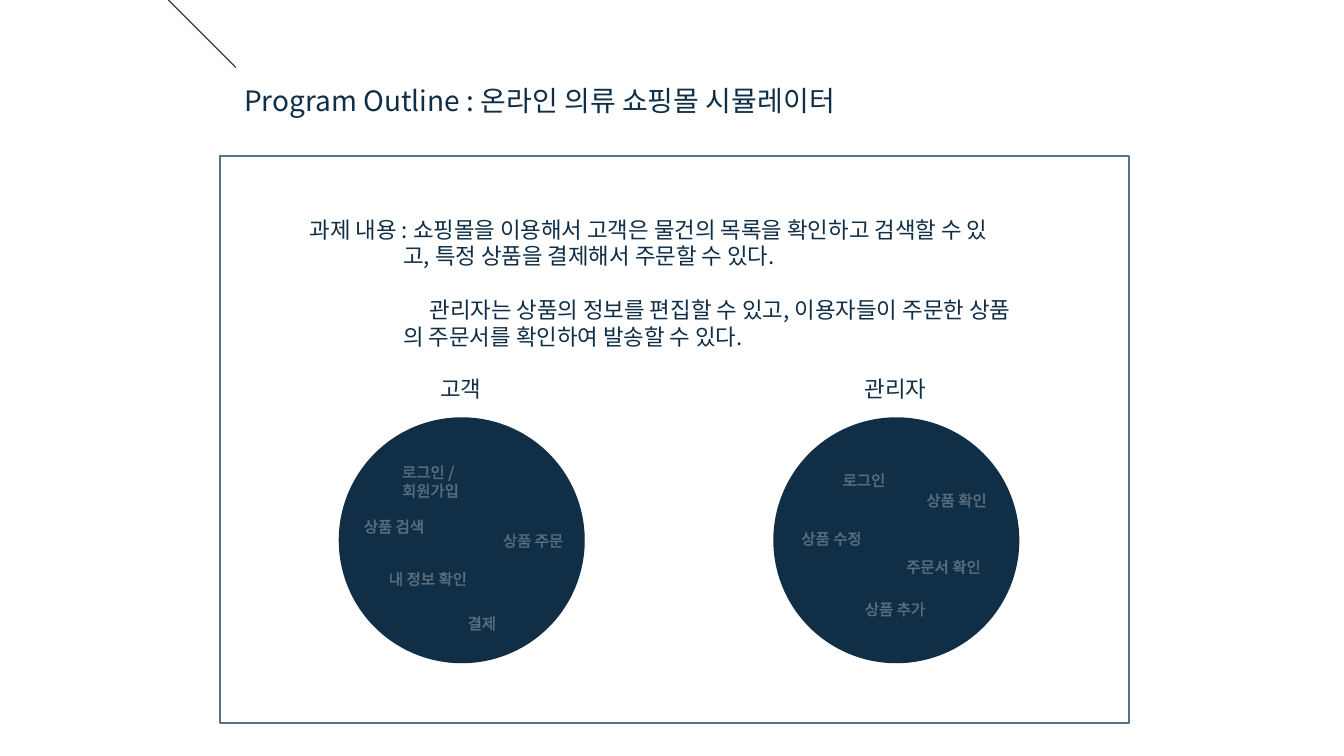
from lxml.etree import SubElement
from pptx import Presentation
from pptx.dml.color import RGBColor
from pptx.enum.shapes import MSO_CONNECTOR as LINE, MSO_SHAPE as SHAPE
from pptx.enum.text import MSO_ANCHOR as ANCHOR, MSO_AUTO_SIZE as AUTO, PP_ALIGN as ALIGN
from pptx.oxml.ns import qn
from pptx.util import Inches, Pt

NAVY = RGBColor(0x10, 0x2E, 0x46)
SLATE = RGBColor(0x53, 0x72, 0x85)
WHITE = RGBColor(0xFF, 0xFF, 0xFF)
FONT = "Noto Sans CJK KR"
DIAMETER = 2.44

# Text, left indent, first-line offset, space before in points
DESCRIPTION = [
    ("과제 내용 : 쇼핑몰을 이용해서 고객은 물건의 목록을 확인하고 검색할 수 있", 0, 0, 0),
    ("고, 특정 상품을 결제해서 주문할 수 있다.", 0.93, 0, 0),
    ("관리자는 상품의 정보를 편집할 수 있고, 이용자들이 주문한 상품", 0.93, 0.26, 19.2),
    ("의 주문서를 확인하여 발송할 수 있다.", 0.93, 0, 0),
]

# Role, circle left, role box, functions with their boxes (left, top, width)
ROLES = [
    ("관리자", 7.67, (8.48, 3.67, 0.82), [
        ("로그인", 8.26, 4.62, 0.63),
        ("상품 확인", 9.09, 4.82, 0.84),
        ("상품 수정", 7.85, 5.2, 0.82),
        ("주문서 확인", 8.89, 5.48, 0.97),
        ("상품 추가", 8.48, 5.9, 0.82),
    ]),
    ("고객", 3.36, (4.27, 3.67, 0.62), [
        ("상품 검색", 3.51, 5.08, 0.84),
        ("상품 주문", 4.89, 5.22, 0.82),
        ("내 정보 확인", 3.76, 5.6, 1.03),
        ("결제", 4.54, 6.04, 0.5),
    ]),
]


def add_run(paragraph, text, size, color):
    """Add a run with a soft, mostly transparent outline."""
    run = paragraph.add_run()
    run.text = text
    font = run.font
    font.size, font.name = Pt(size), FONT
    font.color.rgb = color
    props = font._element
    outline = SubElement(props, qn("a:ln"), w=str(Pt(0.75)))
    tint = SubElement(SubElement(outline, qn("a:solidFill")), qn("a:srgbClr"), val=str(color))
    SubElement(tint, qn("a:alpha"), val="30000")
    props.insert(0, outline)
    props.find(qn("a:latin")).addnext(props.makeelement(qn("a:ea"), {"typeface": FONT}))


def place(shape, left, top, width, height):
    shape.left, shape.top = Inches(left), Inches(top)
    shape.width, shape.height = Inches(width), Inches(height)
    frame = shape.text_frame
    frame.auto_size = AUTO.NONE
    frame.word_wrap = False
    frame.vertical_anchor = ANCHOR.TOP
    return frame


def add_label(slide, text, left, top, width, height=0.29, size=11, color=WHITE):
    box = slide.shapes.add_textbox(0, 0, 0, 0)
    frame = place(box, left, top, width, height)
    add_run(frame.paragraphs[0], text, size, color)
    return frame


def add_description(frame):
    for index, (text, indent, offset, before) in enumerate(DESCRIPTION):
        paragraph = frame.paragraphs[0] if index == 0 else frame.add_paragraph()
        paragraph.alignment = ALIGN.LEFT
        paragraph.space_before = Pt(before)
        props = paragraph._p.get_or_add_pPr()
        props.set("marL", str(Inches(indent)))
        props.set("indent", str(Inches(offset)))
        SubElement(props, qn("a:buNone"))
        add_run(paragraph, text, 16, NAVY)


def add_panel(slide):
    panel = slide.shapes.add_shape(
        SHAPE.RECTANGLE, Inches(2.18), Inches(1.55), Inches(9.02), Inches(5.62))
    panel.shadow.inherit = False
    panel.fill.background()
    panel.line.color.rgb = SLATE
    panel.line.width = Pt(1.5)


def add_accent(slide):
    accent = slide.shapes.add_connector(
        LINE.STRAIGHT, Inches(1.67), 0, Inches(2.34), Inches(0.67))
    accent.line.color.rgb = NAVY
    accent.line.width = Pt(0.75)
    SubElement(accent._element.spPr, qn("a:effectLst"))


def add_circle(slide, left):
    circle = slide.shapes.add_shape(
        SHAPE.OVAL, Inches(left), Inches(4.14), Inches(DIAMETER), Inches(DIAMETER))
    circle.shadow.inherit = False
    circle.fill.solid()
    circle.fill.fore_color.rgb = NAVY
    circle.line.fill.background()


def main():
    deck = Presentation()
    deck.slide_width, deck.slide_height = Inches(13.33), Inches(7.5)
    slide = deck.slides.add_slide(deck.slide_layouts[1])
    heading, description = slide.placeholders

    # Heading and task description
    title = place(heading, 2.32, 0.78, 6.23, 0.44).paragraphs[0]
    title.alignment = ALIGN.LEFT
    add_run(title, "Program Outline : 온라인 의류 쇼핑몰 시뮬레이터", 20, NAVY)
    add_description(place(description, 2.97, 2.09, 7.52, 1.72))

    # Frame and corner line
    add_panel(slide)
    add_accent(slide)

    # Roles with their functions
    for role, circle_left, role_box, functions in ROLES:
        add_circle(slide, circle_left)
        add_label(slide, role, *role_box, height=0.37, size=16, color=NAVY)
        for function in functions:
            add_label(slide, *function)

    # The sign-in label wraps after the slash
    sign_in = add_label(slide, "로그인 / 회원가입", 3.89, 4.54, 1.37)
    sign_in.word_wrap = True
    sign_in.margin_right = Inches(0.5)

    deck.save("out.pptx")


main()
